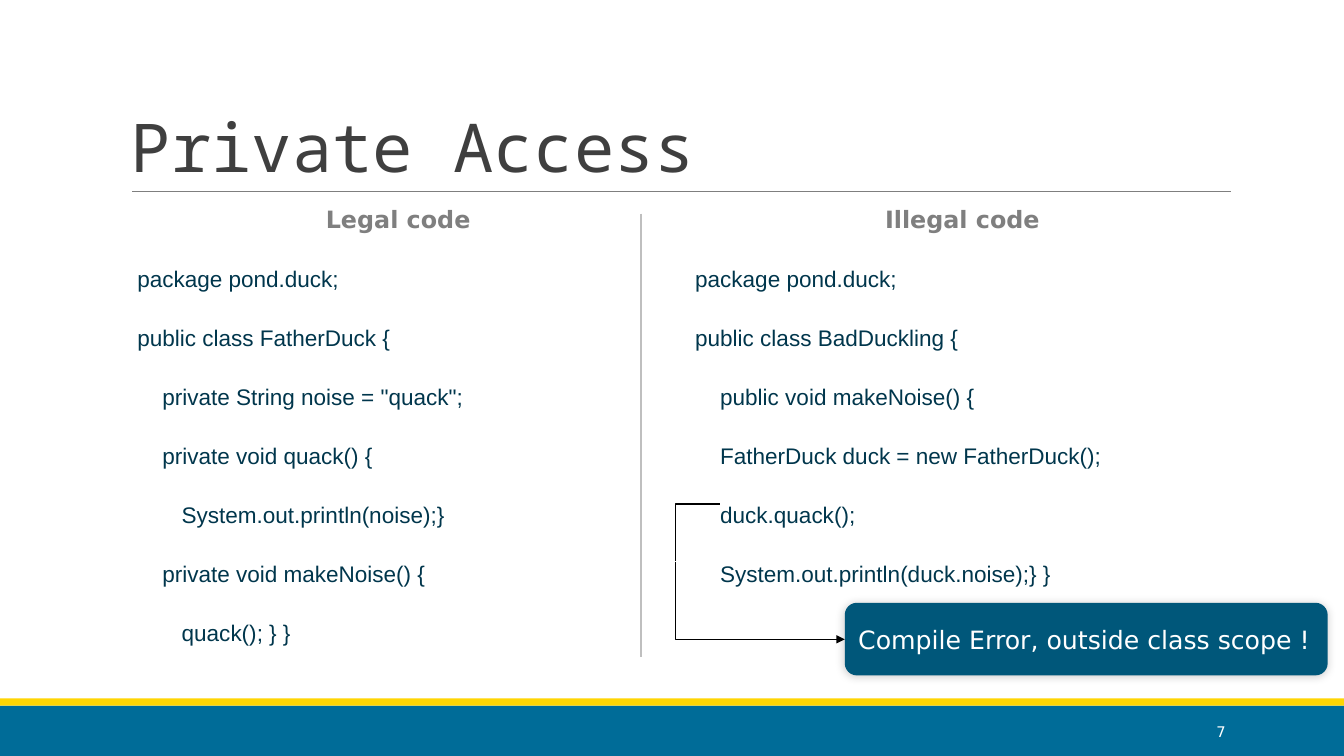
from lxml import etree
from pptx import Presentation
from pptx.dml.color import RGBColor
from pptx.enum.shapes import MSO_CONNECTOR, MSO_SHAPE
from pptx.enum.text import MSO_ANCHOR, PP_ALIGN
from pptx.oxml.ns import qn
from pptx.util import Cm, Pt

STRAIGHT, ELBOW = MSO_CONNECTOR.STRAIGHT, MSO_CONNECTOR.ELBOW
RECT, ROUNDED = MSO_SHAPE.RECTANGLE, MSO_SHAPE.ROUNDED_RECTANGLE
TOP, MIDDLE, BOTTOM = MSO_ANCHOR.TOP, MSO_ANCHOR.MIDDLE, MSO_ANCHOR.BOTTOM
LEFT, CENTER, RIGHT = PP_ALIGN.LEFT, PP_ALIGN.CENTER, PP_ALIGN.RIGHT

BLUE = RGBColor(0x00, 0x6C, 0x98)
YELLOW = RGBColor(0xFF, 0xD5, 0x03)
DEEP_BLUE = RGBColor(0x00, 0x57, 0x7A)
CODE_BLUE = RGBColor(0x00, 0x36, 0x4C)
DARK = RGBColor(0x3F, 0x3F, 0x3F)
GREY = RGBColor(0x7F, 0x7F, 0x7F)
PALE = RGBColor(0xBF, 0xBF, 0xBF)
BLACK = RGBColor(0, 0, 0)
WHITE = RGBColor(0xFF, 0xFF, 0xFF)
SANS, MONO, CODE = "DejaVu Sans", "Noto Sans Mono", "Arial"

# Content: each code line has its nesting level
TITLE = "Private Access"
CALLOUT = "Compile Error, outside class scope !"
PAGE = "7"
LISTINGS = [
    {"heading": "Legal code", "left": 3.05, "margin": 0.41, "code": [
        (0, "package pond.duck;"),
        (0, "public class FatherDuck {"),
        (1, 'private String noise = "quack";'),
        (1, "private void quack() {"),
        (2, "System.out.println(noise);}"),
        (1, "private void makeNoise() {"),
        (2, "quack(); } }"),
    ]},
    {"heading": "Illegal code", "left": 17.27, "margin": 0.25, "code": [
        (0, "package pond.duck;"),
        (0, "public class BadDuckling {"),
        (1, "public void makeNoise() {"),
        (1, "FatherDuck duck = new FatherDuck();"),
        (1, "duck.quack();"),
        (1, "System.out.println(duck.noise);} }"),
    ]},
]
LEVEL_INDENT = (0, 0.63, 1.12)

# Layout in centimetres
WIDTH, HEIGHT = 33.87, 19.05
FOOTER_TOP, STRIPE = 17.78, 0.18
BODY_TOP, BODY_WIDTH, BODY_HEIGHT = 5.23, 13.72, 11.18
CALLOUT_BOX = (21.29, 15.19, 12.17, 1.83)
BEND = (17.02, 14.15)
CALLOUT_EDGE = (21.29, 16.11)
BAD_LINE = (18.14, 12.7)

prs = Presentation()
prs.slide_width, prs.slide_height = Cm(WIDTH), Cm(HEIGHT)
slide = prs.slides.add_slide(prs.slide_layouts[6])
shapes = slide.shapes


def write(frame, text, size, color, font=SANS, bold=False, align=LEFT,
          spacing=1.0, before=0, after=0, indent=0, new=False):
    paragraph = frame.add_paragraph() if new else frame.paragraphs[0]
    paragraph.alignment, paragraph.line_spacing = align, spacing
    paragraph.space_before, paragraph.space_after = Pt(before), Pt(after)
    if indent:
        paragraph._p.get_or_add_pPr().set("marL", str(Cm(indent)))
    run = paragraph.add_run()
    run.text = text
    run.font.name, run.font.size, run.font.bold = font, Pt(size), bold
    run.font.color.rgb = color


def text_frame(box, anchor=TOP, side=0.25):
    frame = shapes.add_textbox(*map(Cm, box)).text_frame
    frame.word_wrap, frame.vertical_anchor = True, anchor
    frame.margin_left = frame.margin_right = Cm(side)
    return frame


def block(kind, box, color):
    shape = shapes.add_shape(kind, *map(Cm, box))
    shape.shadow.inherit = False
    shape.fill.solid()
    shape.fill.fore_color.rgb = color
    shape.line.fill.background()
    return shape


def connect(start, end, color, width, kind=STRAIGHT, arrow=False):
    line = shapes.add_connector(kind, *map(Cm, start + end))
    line.line.color.rgb, line.line.width = color, Pt(width)
    properties = line._element.spPr
    etree.SubElement(properties, qn("a:effectLst"))
    if kind == ELBOW:  # bend right at the start
        geometry = properties.find(qn("a:prstGeom"))
        adjustments = geometry.find(qn("a:avLst"))
        if adjustments is None:
            adjustments = etree.SubElement(geometry, qn("a:avLst"))
        etree.SubElement(adjustments, qn("a:gd"), name="adj1", fmla="val 0")
    if arrow:
        etree.SubElement(line.line._get_or_add_ln(), qn("a:tailEnd"), type="triangle")


# Footer bars
block(RECT, (0, FOOTER_TOP, WIDTH, HEIGHT - FOOTER_TOP), BLUE)
block(RECT, (0, FOOTER_TOP - STRIPE, WIDTH, STRIPE), YELLOW)

# Title and its rule
connect((3.33, 4.83), (31.01, 4.83), GREY, 0.75)
write(text_frame((3.05, 0.79, 27.94, 4.04), BOTTOM), TITLE, 48, DARK, MONO, spacing=0.85)

# Code listings and the divider between them
for listing in LISTINGS:
    body = text_frame((listing["left"], BODY_TOP, BODY_WIDTH, BODY_HEIGHT), side=0)
    write(body, listing["heading"], 17, GREY, bold=True, align=CENTER,
          spacing=0.7, after=1.2, indent=0.25)
    for level, code in listing["code"]:
        write(body, code, 16.1, CODE_BLUE, CODE, spacing=1.4, before=14, after=1.2,
              indent=listing["margin"] + LEVEL_INDENT[level], new=True)
connect((16.15, 5.38), (16.15, 16.56), PALE, 1)

# Callout with a soft shadow
callout = block(ROUNDED, CALLOUT_BOX, DEEP_BLUE)
effects = callout._element.spPr.find(qn("a:effectLst"))
shadow = etree.SubElement(effects, qn("a:outerShdw"), blurRad=str(Pt(6)),
                          dist=str(Pt(1)), dir="8100000", algn="tl", rotWithShape="0")
shade = etree.SubElement(shadow, qn("a:srgbClr"), val=str(BLACK))
etree.SubElement(shade, qn("a:alpha"), val="20000")
callout.text_frame.word_wrap = True
callout.text_frame.vertical_anchor = MIDDLE
write(callout.text_frame, CALLOUT, 18, WHITE)

# Bent arrow from the faulty line to the callout
connect(BEND, CALLOUT_EDGE, BLACK, 1, ELBOW, arrow=True)
connect(BEND, BAD_LINE, BLACK, 1, ELBOW)

# Slide number
write(text_frame((27.51, 17.93, 3.63, 1.02), MIDDLE), PAGE, 10.5, WHITE, align=RIGHT)

prs.save("out.pptx")
